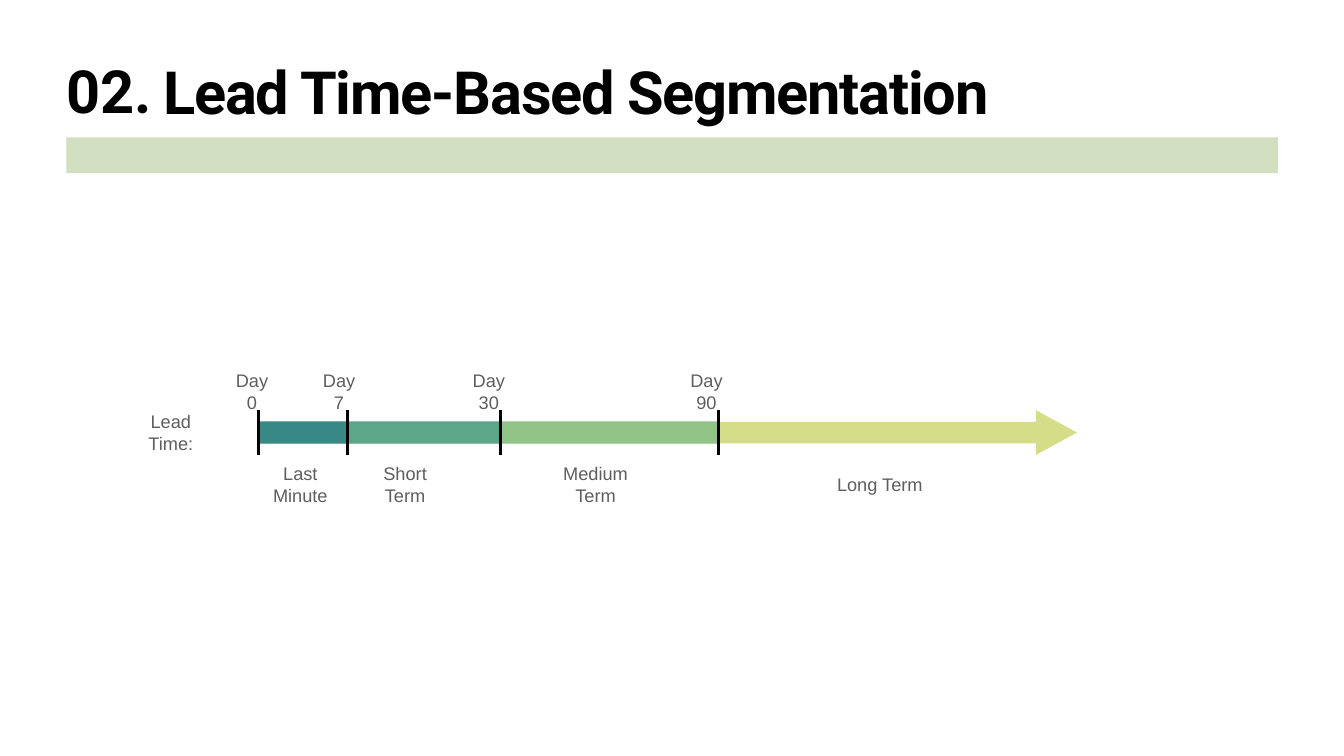
from dataclasses import dataclass
from itertools import pairwise

from lxml import etree
from pptx import Presentation
from pptx.dml.color import RGBColor
from pptx.enum import shapes as es, text as et
from pptx.oxml.ns import qn
from pptx.util import Cm, Pt

BLACK, GREY = "000000", "5E5E5E"
MID = 21.8  # centre line of the time axis, cm
PAD = 0.15


@dataclass
class Day:
    text: str
    tick: float
    mid: float


@dataclass
class Term:
    text: str
    mid: float
    wide: float = 4.06


DAYS = [
    Day("Day 0", 13.03, 12.7),
    Day("Day 7", 17.53, 17.09),
    Day("Day 30", 25.22, 24.64),
    Day("Day 90", 36.2, 35.61),
]
TERMS = [
    Term("Last Minute", 15.14),
    Term("Short Term", 20.42),
    Term("Medium Term", 30.02),
    Term("Long Term", 44.35, 5.13),
]
BANDS = ["388885", "5CA78A", "92C488"]


def tint(color: str) -> RGBColor:
    return RGBColor.from_string(color)


def block(slide, kind, x: float, y: float, w: float, h: float, color: str):
    shape = slide.shapes.add_shape(kind, Cm(x), Cm(y), Cm(w), Cm(h))
    shape.shadow.inherit = False
    shape.fill.solid()
    shape.fill.fore_color.rgb = tint(color)
    shape.line.fill.background()
    return shape


def tick(slide, x: float) -> None:
    line = slide.shapes.add_connector(
        es.MSO_CONNECTOR.STRAIGHT, Cm(x), Cm(MID + 1.13), Cm(x), Cm(MID - 1.13))
    line.line.color.rgb = tint(BLACK)
    line.line.width = Pt(4)
    etree.SubElement(line._element.spPr, qn("a:effectLst"))


def label(slide, text: str, mid: float, y: float, w: float) -> None:
    """Write a small grey label centred on (mid, y)."""
    h = 2.5
    box = slide.shapes.add_textbox(Cm(mid - w / 2), Cm(y - h / 2), Cm(w), Cm(h))
    write(box, text, 26, "Arial", GREY, PAD)
    box.text_frame.vertical_anchor = et.MSO_ANCHOR.MIDDLE
    box.text_frame.paragraphs[0].alignment = et.PP_ALIGN.CENTER


def write(shape, text: str, size: int, face: str, color: str, pad: float):
    """Fill a shape with one formatted paragraph and return its run."""
    frame = shape.text_frame
    frame.text = text
    frame.word_wrap = True
    frame.auto_size = et.MSO_AUTO_SIZE.NONE
    frame.margin_left = frame.margin_right = Cm(pad)
    frame.margin_top = frame.margin_bottom = Cm(pad)
    run = frame.paragraphs[0].runs[0]
    run.font.size, run.font.name = Pt(size), face
    run.font.color.rgb = tint(color)
    return run


def head(shape, text: str, lead: int, pad: float):
    run = write(shape, text, 85, "Roboto", BLACK, pad)
    run.font.bold = True
    shape.text_frame.vertical_anchor = et.MSO_ANCHOR.TOP
    para = shape.text_frame.paragraphs[0]
    para.alignment = et.PP_ALIGN.LEFT
    para.line_spacing = Pt(lead)
    return run


def header(slide) -> None:
    block(slide, es.MSO_SHAPE.RECTANGLE, 3.35, 6.93, 61.06, 1.8, "D2DFC1")
    title = slide.shapes.title
    title.left, title.top = Cm(8.08), Cm(3)
    title.width, title.height = Cm(56.29), Cm(3.98)
    run = head(title, "Lead Time-Based Segmentation", 91, PAD)
    run.font._element.set("spc", "-170")
    number = slide.shapes.add_textbox(Cm(3.33), Cm(3.58), Cm(5.38), Cm(2.72))
    head(number, "02.", 77, 0)


def axis(slide) -> None:
    arrow = block(slide, es.MSO_SHAPE.RIGHT_ARROW,
                  DAYS[0].tick, MID - 1.13, 41.25, 2.26, "D6DD88")
    arrow.adjustments[0], arrow.adjustments[1] = 0.478, 0.915
    for (start, end), color in zip(pairwise(DAYS), BANDS):
        block(slide, es.MSO_SHAPE.RECTANGLE, start.tick, MID - 0.56,
              end.tick - start.tick, 1.12, color)
    label(slide, "Lead Time:", 8.61, MID, 4.06)
    for day in DAYS:
        tick(slide, day.tick)
        label(slide, day.text, day.mid, MID - 2.1, 2.29)
    for term in TERMS:
        label(slide, term.text, term.mid, MID + 2.6, term.wide)


def main() -> None:
    deck = Presentation()
    deck.slide_width, deck.slide_height = Cm(67.74), Cm(38.1)
    slide = deck.slides.add_slide(deck.slide_layouts[5])
    header(slide)
    axis(slide)
    deck.save("out.pptx")


if __name__ == "__main__":
    main()
